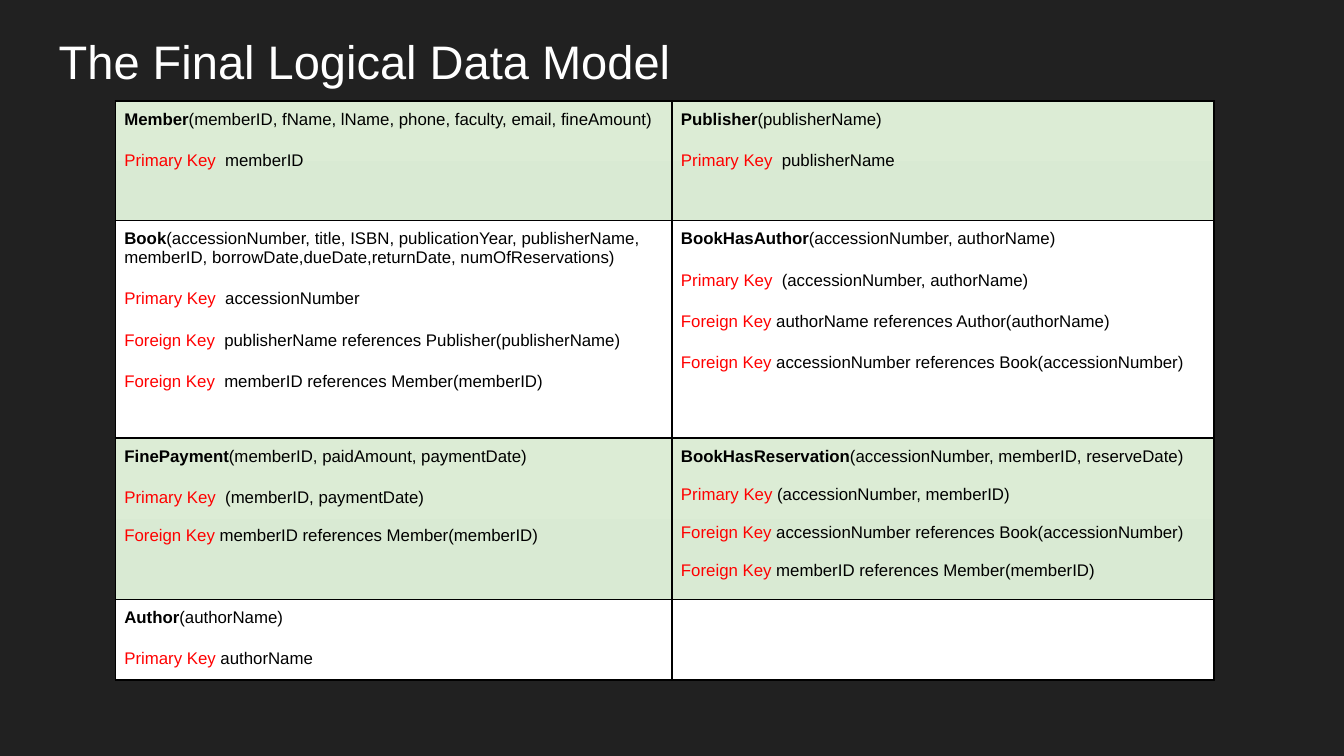
import pptx
import pptx.dml.color
import pptx.enum.text
import pptx.oxml
import pptx.oxml.ns
import pptx.util

Cm, Pt = pptx.util.Cm, pptx.util.Pt
RGBColor = pptx.dml.color.RGBColor
ANCHOR = pptx.enum.text.MSO_ANCHOR

DARK = RGBColor(0x21, 0x21, 0x21)
WHITE = RGBColor(0xFF, 0xFF, 0xFF)
BLACK = RGBColor(0, 0, 0)
RED = RGBColor(0xFF, 0, 0)
GREEN_TOP = RGBColor(0xDC, 0xEC, 0xD5)
GREEN_BOTTOM = RGBColor(0xD9, 0xEA, 0xD3)

TITLE = "The Final Logical Data Model"
WIDE, TIGHT = 12, 10.3  # space before a key line, in points

# Each relation: name, attributes, key lines (label, text, space before)
RELATIONS = [
    [
        ("Member", "(memberID, fName, lName, phone, faculty, email, fineAmount)", [
            ("Primary Key", "  memberID", WIDE),
        ]),
        ("Publisher", "(publisherName)", [
            ("Primary Key", "  publisherName", WIDE),
        ]),
    ],
    [
        ("Book", "(accessionNumber, title, ISBN, publicationYear, publisherName, "
                 "memberID, borrowDate,dueDate,returnDate, numOfReservations)", [
            ("Primary Key", "  accessionNumber", WIDE),
            ("Foreign Key", "  publisherName references Publisher(publisherName)", WIDE),
            ("Foreign Key ", " memberID references Member(memberID)", WIDE),
        ]),
        ("BookHasAuthor", "(accessionNumber, authorName)", [
            ("Primary Key", "  (accessionNumber, authorName)", WIDE),
            ("Foreign Key ", "authorName references Author(authorName)", WIDE),
            ("Foreign Key ", "accessionNumber references Book(accessionNumber)", WIDE),
        ]),
    ],
    [
        ("FinePayment", "(memberID, paidAmount, paymentDate)", [
            ("Primary Key", "  (memberID, paymentDate)", WIDE),
            ("Foreign Key ", "memberID references Member(memberID)", TIGHT),
        ]),
        ("BookHasReservation", "(accessionNumber, memberID, reserveDate)", [
            ("Primary Key ", "(accessionNumber, memberID)", TIGHT),
            ("Foreign Key", " accessionNumber references Book(accessionNumber)", TIGHT),
            ("Foreign Key", " memberID references Member(memberID)", TIGHT),
        ]),
    ],
    [
        ("Author", "(authorName)", [
            ("Primary Key ", "authorName", WIDE),
        ]),
        None,
    ],
]
COL_WIDTHS = [10.52, 10.24]
ROW_HEIGHTS = [2.26, 4.11, 3.05, 1.49]

TITLE_FONT = {"name": "Arial", "size": Pt(25.2), "color": WHITE}
NAME_FONT = {"name": "Arial", "size": Pt(9), "color": BLACK, "bold": True}
BODY_FONT = {**NAME_FONT, "bold": False}
KEY_FONT = {**BODY_FONT, "color": RED}
CELL_FORMAT = {"margin_left": Cm(0.17), "margin_right": Cm(0.17),
               "margin_top": Cm(0.17), "margin_bottom": Cm(0.17),
               "vertical_anchor": ANCHOR.TOP}
TITLE_FORMAT = {"word_wrap": True, "vertical_anchor": ANCHOR.BOTTOM}


def add_run(p, text, font):
    r = p.add_run()
    r.text = text
    for key, value in font.items():
        if key == "color":
            r.font.color.rgb = value
        else:
            setattr(r.font, key, value)


def fill_cell(cell, banded):
    if not banded:
        cell.fill.solid()
        cell.fill.fore_color.rgb = WHITE
        return
    cell.fill.gradient()
    cell.fill.gradient_angle = 270  # counter-clockwise, so top to bottom
    for stop, color in zip(cell.fill.gradient_stops, (GREEN_TOP, GREEN_BOTTOM)):
        stop.color.rgb = color


def add_borders(cell):
    tcPr = cell._tc.get_or_add_tcPr()
    for i, side in enumerate(("lnL", "lnR", "lnT", "lnB")):
        tcPr.insert(i, pptx.oxml.parse_xml(
            f'<a:{side} {pptx.oxml.ns.nsdecls("a")} w="{Pt(1)}"><a:solidFill>'
            f'<a:srgbClr val="{BLACK}"/></a:solidFill></a:{side}>'))


def write_relation(tf, name, attributes, keys):
    p = tf.paragraphs[0]
    add_run(p, name, NAME_FONT)
    add_run(p, attributes, BODY_FONT)
    for label, text, gap in keys:
        p = tf.add_paragraph()
        p.space_before = Pt(gap)
        add_run(p, label, KEY_FONT)
        add_run(p, text, BODY_FONT)


prs = pptx.Presentation()
prs.slide_width, prs.slide_height = Cm(25.4), Cm(14.29)
s = prs.slides.add_slide(prs.slide_layouts[6])
s.background.fill.solid()
s.background.fill.fore_color.rgb = DARK

tf = s.shapes.add_textbox(Cm(0.86), Cm(0.33), Cm(23.67), Cm(1.6)).text_frame
for key, value in TITLE_FORMAT.items():
    setattr(tf, key, value)
for side in ("left", "right", "top", "bottom"):
    setattr(tf, f"margin_{side}", Cm(0.25))
add_run(tf.paragraphs[0], TITLE, TITLE_FONT)

table = s.shapes.add_table(len(ROW_HEIGHTS), len(COL_WIDTHS), Cm(2.18), Cm(1.91),
                           Cm(sum(COL_WIDTHS)), Cm(sum(ROW_HEIGHTS))).table
table.first_row = table.horz_banding = False
for col, width in zip(table.columns, COL_WIDTHS):
    col.width = Cm(width)
for i, (row, height) in enumerate(zip(table.rows, ROW_HEIGHTS)):
    row.height = Cm(height)
    for cell, relation in zip(row.cells, RELATIONS[i]):
        for key, value in CELL_FORMAT.items():
            setattr(cell, key, value)
        fill_cell(cell, banded=i % 2 == 0)
        add_borders(cell)
        if relation:
            write_relation(cell.text_frame, *relation)

prs.save("out.pptx")
